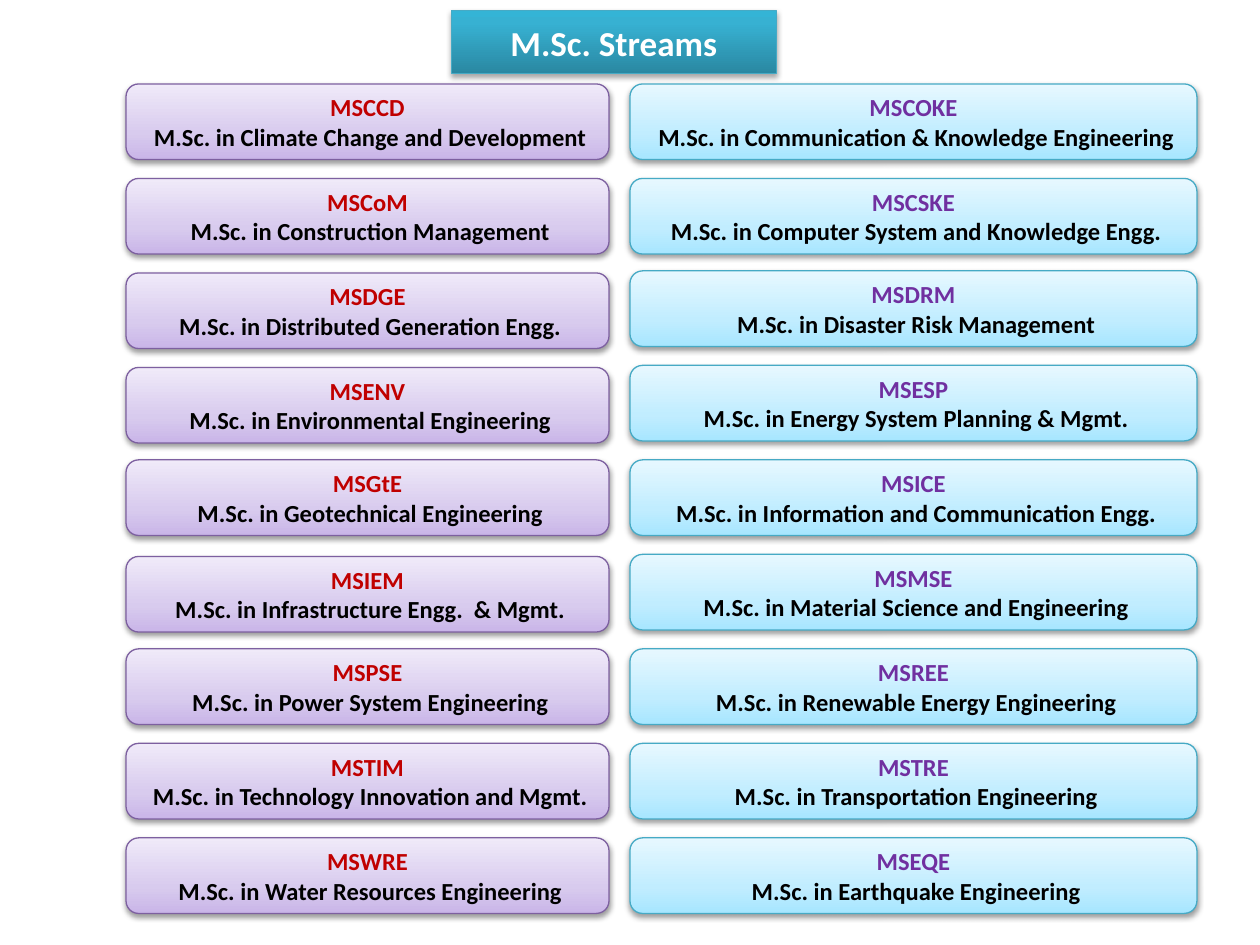
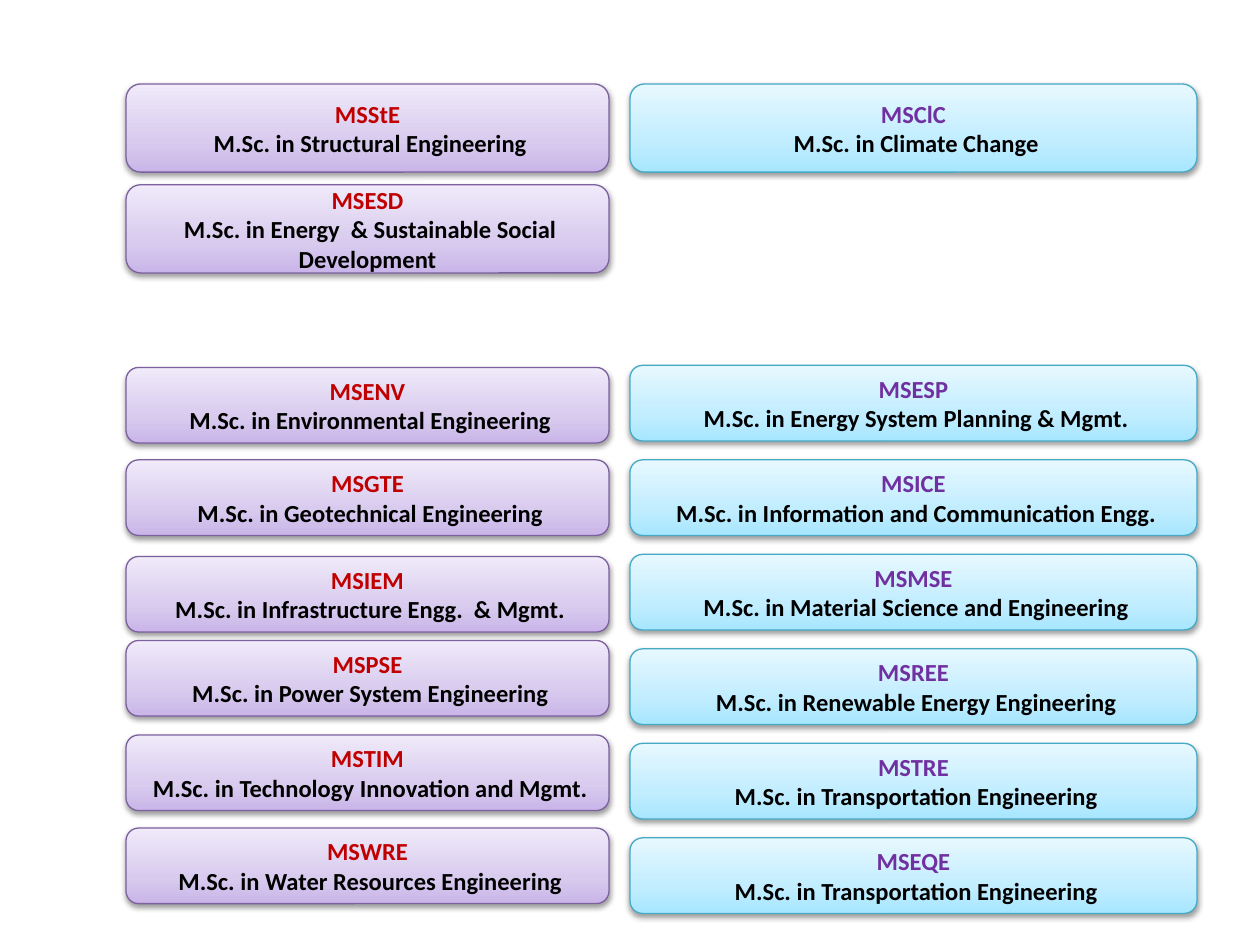
from copy import deepcopy
from dataclasses import dataclass

from lxml import etree
from pptx import Presentation
from pptx import util as u
from pptx.dml.color import RGBColor
from pptx.enum import shapes, text
from pptx.oxml import ns

HEADING = "M.Sc. Streams"

STREAMS = {
    "left": [
        ("MSCCD", "Climate Change and Development"),
        ("MSCoM", "Construction Management"),
        ("MSDGE", "Distributed Generation Engg."),
        ("MSENV", "Environmental Engineering"),
        ("MSGtE", "Geotechnical Engineering"),
        ("MSIEM", "Infrastructure Engg.  & Mgmt."),
        ("MSPSE", "Power System Engineering"),
        ("MSTIM", "Technology Innovation and Mgmt."),
        ("MSWRE", "Water Resources Engineering"),
    ],
    "right": [
        ("MSCOKE", "Communication & Knowledge Engineering"),
        ("MSCSKE", "Computer System and Knowledge Engg."),
        ("MSDRM", "Disaster Risk Management"),
        ("MSESP", "Energy System Planning & Mgmt."),
        ("MSICE", "Information and Communication Engg."),
        ("MSMSE", "Material Science and Engineering"),
        ("MSREE", "Renewable Energy Engineering"),
        ("MSTRE", "Transportation Engineering"),
        ("MSEQE", "Earthquake Engineering"),
    ],
}
NEW_STREAMS = {
    "left": [
        ("MSStE", "Structural Engineering"),
        ("MSESD", "Energy  & Sustainable Social Development"),
    ],
    "right": [("MSClC", "Climate Change")],
}
REVISED = {
    "MSGtE": ("MSGTE", "Geotechnical Engineering"),
    "MSEQE": ("MSEQE", "Transportation Engineering"),
}
FIRST_REPEATED = 3

NUDGES = {
    "left": {4: -1.2, 6: -1.2, 7: -1.2, 8: -1.2},
    "right": {row: -1.2 for row in range(2, 9)},
}
REVISED_NUDGES = {
    "left": {4: -1.2, 6: -6, 7: -6, 8: -6.8},
    "right": NUDGES["right"],
}


@dataclass(frozen=True)
class Style:
    stops: tuple
    line: str
    code: str
    shadow: tuple


@dataclass(frozen=True)
class Theme:
    font: str = "Calibri"
    heading_size: int = 20
    stream_size: int = 14
    white: str = "FFFFFF"
    black: str = "000000"
    line_width: float = 0.75
    heading: Style = Style(((0, "2A88A2"), (0.8, "37B1D2"), (1, "34B4D6")),
                           "46AAC5", "FFFFFF", (35, 3.1, 1.8))
    left: Style = Style(((0, "C9B5E8"), (0.35, "D8CBEE"), (1, "F0EAF9")),
                        "7D60A0", "C00000", (38, 3.1, 1.6))
    right: Style = Style(((0, "A7E6FF"), (0.35, "C1EDFF"), (1, "E7F8FF")),
                         "46AAC5", "7030A0", (38, 3.1, 1.6))


THEME = Theme()
COLUMNS = {"left": (72, 276), "right": (360, 324)}
TOP, PITCH, HEIGHT = 48, 54, 43.2
NEW_PITCH, NEW_HEIGHT = 57.6, 50.4
HEADING_BOX = (257.8, 6, 186, 36)


def apply(target, values):
    for name, value in values.items():
        setattr(target, name, value)


def add_child(parent, tag, **attributes):
    return etree.SubElement(parent, ns.qn(tag),
                            {key: str(value) for key, value in attributes.items()})


def paint(panel, style):
    panel.fill.gradient()
    panel.fill.gradient_angle = 90
    stop_list = panel._element.spPr.find(".//" + ns.qn("a:gsLst"))
    stop_list.append(deepcopy(stop_list[0]))
    for stop, (position, colour) in zip(panel.fill.gradient_stops, style.stops):
        stop.position = position
        stop.color.rgb = RGBColor.from_string(colour)
    panel.line.color.rgb = RGBColor.from_string(style.line)
    panel.line.width = u.Pt(THEME.line_width)

    panel.shadow.inherit = False
    alpha, blur, distance = style.shadow
    effects = panel._element.spPr.find(ns.qn("a:effectLst"))
    shadow = add_child(effects, "a:outerShdw", blurRad=u.Pt(blur), dist=u.Pt(distance),
                       dir=5400000, rotWithShape=0)
    shade = add_child(shadow, "a:srgbClr", val=THEME.black)
    add_child(shade, "a:alpha", val=alpha * 1000)


def write(panel, lines, size):
    frame = panel.text_frame
    apply(frame, {"word_wrap": True, "auto_size": text.MSO_AUTO_SIZE.NONE,
                  "vertical_anchor": text.MSO_ANCHOR.MIDDLE})
    paragraph = frame.paragraphs[0]
    paragraph.alignment = text.PP_ALIGN.CENTER
    for index, (words, colour) in enumerate(lines):
        if index:
            paragraph.add_line_break()
        run = paragraph.add_run()
        run.text = words
        apply(run.font, {"name": THEME.font, "size": u.Pt(size), "bold": True})
        run.font.color.rgb = RGBColor.from_string(colour)


def add_heading(slide):
    heading = slide.shapes.title
    apply(heading, dict(zip(("left", "top", "width", "height"), map(u.Pt, HEADING_BOX))))
    outline = add_child(heading._element.spPr, "a:prstGeom", prst="roundRect")
    add_child(outline, "a:avLst")
    paint(heading, THEME.heading)
    write(heading, [(HEADING, THEME.white)], THEME.heading_size)


def add_stream(slide, side, stream, top, height):
    left, width = COLUMNS[side]
    style = getattr(THEME, side)
    code, subject = stream
    panel = slide.shapes.add_shape(shapes.MSO_SHAPE.ROUNDED_RECTANGLE,
                                   *map(u.Pt, (left, top, width, height)))
    paint(panel, style)
    write(panel, [(code, style.code), (f" M.Sc. in {subject}", THEME.black)],
          THEME.stream_size)


def add_streams(slide, side, nudges, first=0, revised=None):
    for row, stream in enumerate(STREAMS[side][first:], first):
        stream = (revised or {}).get(stream[0], stream)
        add_stream(slide, side, stream,
                   TOP + row * PITCH + nudges[side].get(row, 0), HEIGHT)


def main():
    deck = Presentation()
    apply(deck, {"slide_width": u.Pt(720), "slide_height": u.Pt(540)})
    title_only, blank = deck.slide_layouts[5], deck.slide_layouts[6]

    overview = deck.slides.add_slide(title_only)
    add_heading(overview)
    for side in COLUMNS:
        add_streams(overview, side, NUDGES)

    update = deck.slides.add_slide(blank)
    for side in COLUMNS:
        for row, stream in enumerate(NEW_STREAMS[side]):
            add_stream(update, side, stream, TOP + row * NEW_PITCH, NEW_HEIGHT)
        add_streams(update, side, REVISED_NUDGES, FIRST_REPEATED, REVISED)

    deck.save("out.pptx")


if __name__ == "__main__":
    main()
